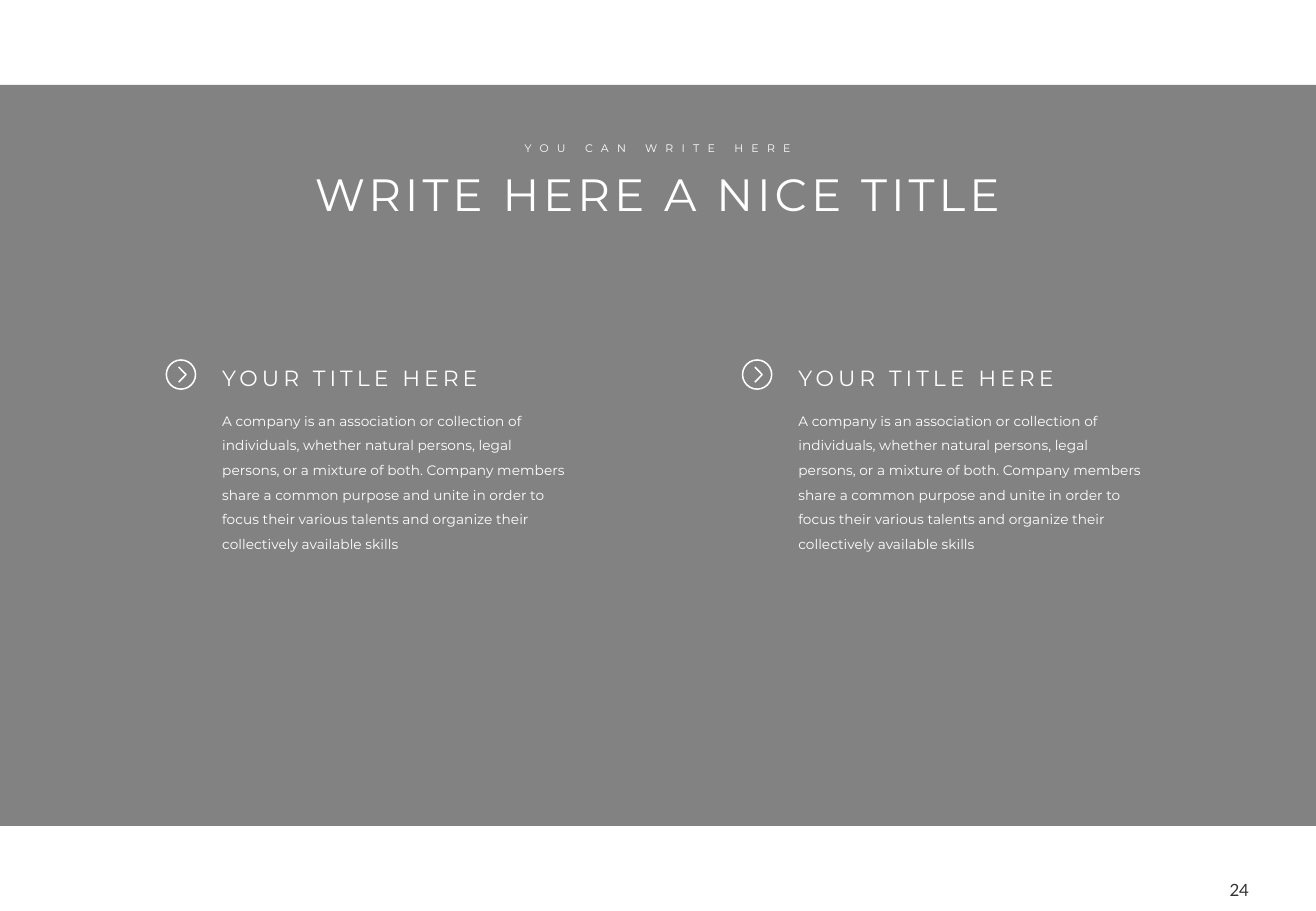
from pptx import Presentation
from pptx.dml.color import RGBColor
from pptx.enum.shapes import MSO_SHAPE
from pptx.enum.text import PP_ALIGN
from pptx.oxml.ns import qn
from pptx.util import Pt
from lxml import etree

LEFT, CENTER, RIGHT = PP_ALIGN.LEFT, PP_ALIGN.CENTER, PP_ALIGN.RIGHT
RECT, OVAL = MSO_SHAPE.RECTANGLE, MSO_SHAPE.OVAL
WIDE, HIGH = 779.76, 540
WHITE = "FFFFFF"
HEAD = "YOUR TITLE HERE"
BODY = ("A company is an association or collection of individuals, whether "
        "natural persons, legal persons, or a mixture of both. Company members "
        "share a common purpose and unite in order to focus their various "
        "talents and organize their collectively available skills")


def color(code):
    return RGBColor.from_string(code)


def write(slide, box, text, size, align=LEFT, face="Montserrat", ink=WHITE,
          track=0, lead=None, wrap=True, inset=None):
    """Add a one-paragraph text box; track is the letter spacing in points."""
    frame = slide.shapes.add_textbox(*map(Pt, box)).text_frame
    frame.word_wrap = wrap
    if inset is not None:
        frame.margin_left = frame.margin_right = Pt(inset)
        frame.margin_top = frame.margin_bottom = Pt(inset)
    para = frame.paragraphs[0]
    para.alignment = align
    if lead:
        para.line_spacing = lead
    run = para.add_run()
    run.text = text
    font = para.font
    font.name, font.size = face, Pt(size)
    font.color.rgb = color(ink)
    if track:
        run._r.get_or_add_rPr().set("spc", str(round(track * 100)))


def panel(slide, box):
    """Add the half-transparent black band."""
    band = slide.shapes.add_shape(RECT, *map(Pt, box))
    band.shadow.inherit = False
    band.fill.solid()
    band.fill.fore_color.rgb = color("000000")
    band.line.fill.background()
    tint = band.fill._xPr.find(".//" + qn("a:srgbClr"))
    etree.SubElement(tint, qn("a:alpha")).set("val", "49000")


def header(slide, left, top, wide):
    write(slide, (left, top, wide, 15), "YOU CAN WRITE HERE", 6.5, CENTER,
          track=4.9)
    write(slide, (left, top + 14.4, wide, 39.6), "WRITE HERE A NICE TITLE",
          26.8, CENTER, track=2.4, wrap=False)


def icon(slide, left, top, size):
    """Add a ring with a chevron inside."""
    ring = slide.shapes.add_shape(OVAL, Pt(left), Pt(top), Pt(size), Pt(size))
    points = [(Pt(left + size * x), Pt(top + size * y))
              for x, y in ((0.42, 0.24), (0.67, 0.5), (0.42, 0.76))]
    path = slide.shapes.build_freeform(*points[0])
    path.add_line_segments(points[1:], close=False)
    for part in (ring, path.convert_to_shape()):
        part.shadow.inherit = False
        part.fill.background()
        part.line.color.rgb = color(WHITE)
        part.line.width = Pt(0.9)


def column(slide, left, top):
    icon(slide, left, top + 1, 17.3)
    write(slide, (left + 26, top, 170.6, 23), HEAD, 13, track=2.4, wrap=False)
    write(slide, (left + 26, top + 23.8, 220.3, 94.3), BODY, 8.1, lead=1.5)


def main():
    deck = Presentation()
    deck.slide_width, deck.slide_height = Pt(WIDE), Pt(HIGH)
    slide = deck.slides.add_slide(deck.slide_layouts[6])
    write(slide, (720.7, 521.3, 19.4, 12.2), "24", 10, RIGHT, "Lato", "333333",
          wrap=False, inset=0)
    panel(slide, (0, 50.4, WIDE, 439.2))
    for index in range(2):
        column(slide, 98.6 + index * 341.4, 212.4)
    header(slide, 175, 80.6, 429.6)
    deck.save("out.pptx")


if __name__ == "__main__":
    main()
